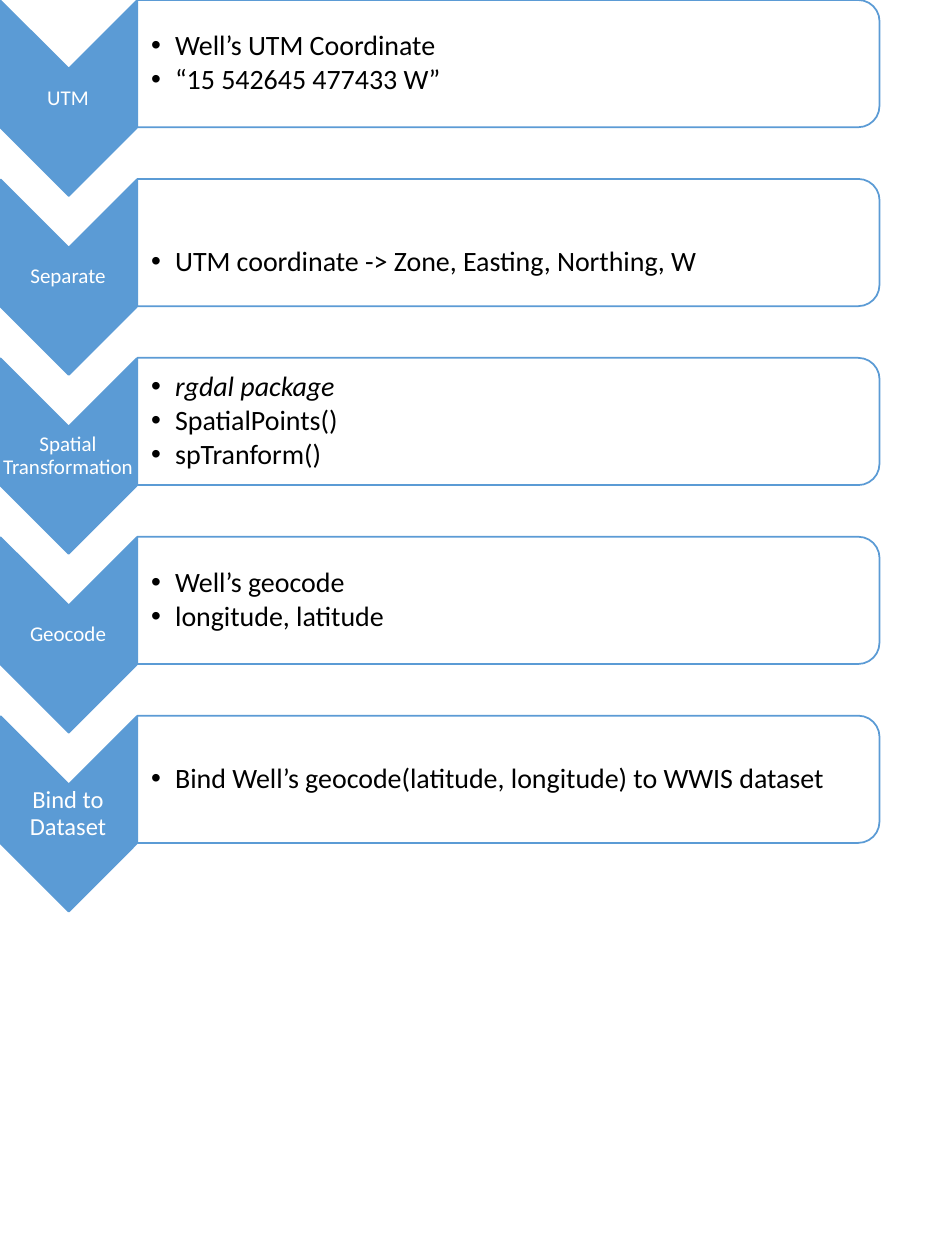
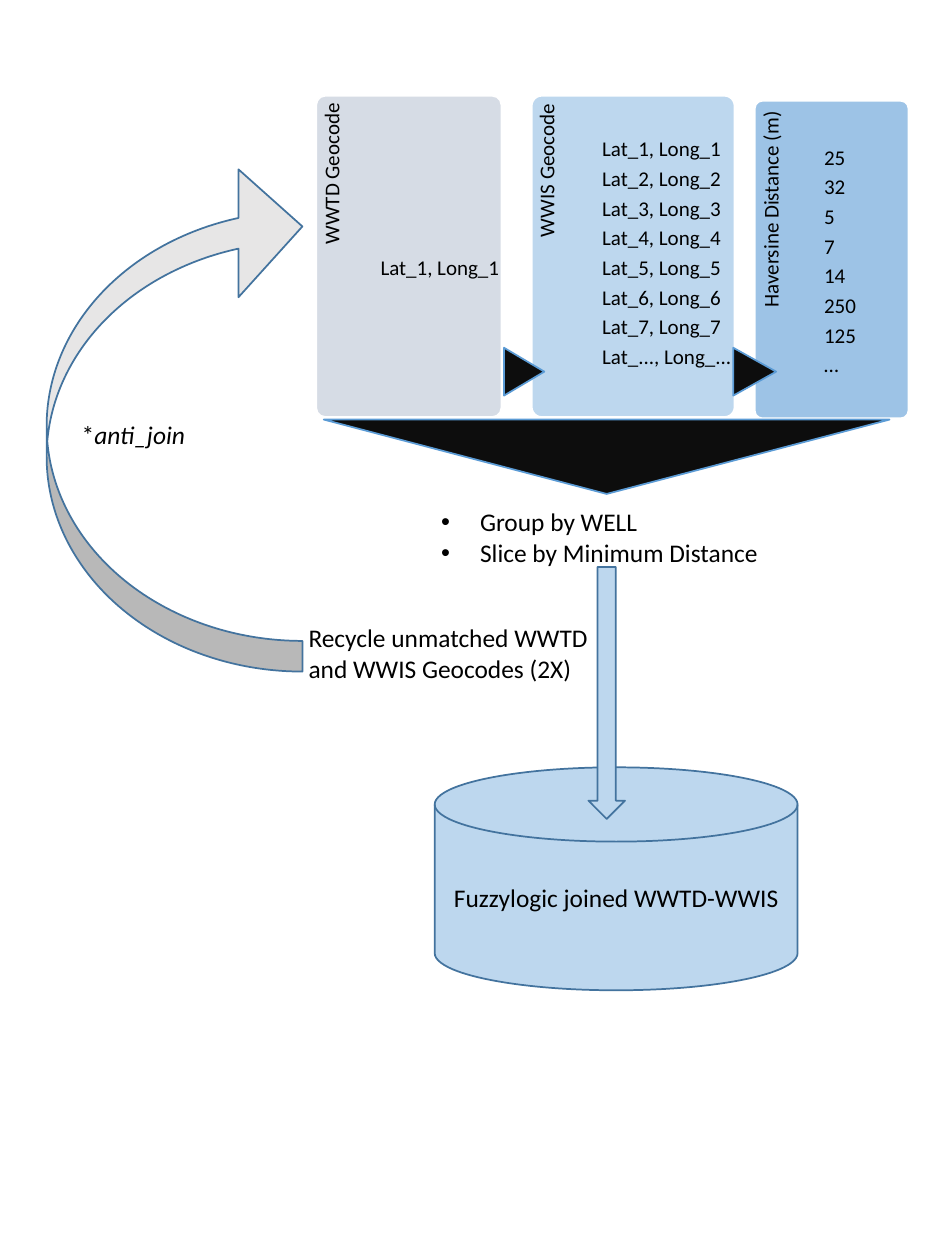
"""Two portrait pages: a geocoding process and a fuzzy join of well records."""
from dataclasses import dataclass
from typing import NamedTuple

from lxml import etree
from pptx import Presentation
from pptx.dml.color import RGBColor
from pptx.enum import shapes, text
from pptx.oxml import ns
from pptx.util import Inches, Pt

FONT = "Calibri"
BLACK, WHITE, INK = "000000", "FFFFFF", "0D0D0D"
BLUE, DARK_BLUE, PALE_BLUE = "5B9BD5", "43739E", "BDD7EE"
SHAPE, ALIGN, ANCHOR = shapes.MSO_SHAPE, text.PP_ALIGN, text.MSO_ANCHOR
TITLE_AND_BODY, BLANK = 1, 6


class Frame(NamedTuple):
    """Left, top, width and height in inches, before rotation."""
    left: float
    top: float
    width: float
    height: float

    def lengths(self) -> list:
        """Return the four values as lengths."""
        return [Inches(value) for value in self]


@dataclass(frozen=True)
class Style:
    """How the paragraphs of one text look; insets are left, top, right, bottom."""
    size: float
    color: str = BLACK
    align: ALIGN = ALIGN.LEFT
    anchor: ANCHOR = ANCHOR.TOP
    insets: tuple = (0.1, 0.05, 0.1, 0.05)
    line_spacing: float = 1.0
    space_after: float = 0
    bullet_indent: float = 0


@dataclass(frozen=True)
class Step:
    """One chevron of the process with its list."""
    label: str
    lines: tuple
    label_size: float = 12
    italic_lines: tuple = ()
    drop: float = 0


@dataclass(frozen=True)
class Column:
    """One card of the comparison, its sideways label and its values."""
    card: Frame
    fill: str
    label: str
    label_frame: Frame
    values: tuple
    values_frame: Frame
    insets: tuple
    anchor: ANCHOR = ANCHOR.MIDDLE


def rgb(value: str) -> RGBColor:
    """Turn a hex string into a colour."""
    return RGBColor.from_string(value)


def add_bullet(para, indent: float) -> None:
    """Give a paragraph a round bullet with a hanging indent."""
    props = para._p.get_or_add_pPr()
    props.set("marL", str(Inches(indent)))
    props.set("indent", str(-Inches(indent)))
    etree.SubElement(props, ns.qn("a:buFont")).set("typeface", "Arial")
    etree.SubElement(props, ns.qn("a:buChar")).set("char", "•")


def write(box, lines: tuple, style: Style, italic_lines: tuple = ()) -> None:
    """Write one paragraph per line into a shape, box or placeholder."""
    frame = box.text_frame
    frame.word_wrap = True
    frame.auto_size = text.MSO_AUTO_SIZE.NONE
    frame.vertical_anchor = style.anchor
    (frame.margin_left, frame.margin_top,
     frame.margin_right, frame.margin_bottom) = map(Inches, style.insets)
    for index, line in enumerate(lines):
        para = frame.add_paragraph() if index else frame.paragraphs[0]
        para.add_run().text = line
        para.alignment = style.align
        para.line_spacing = style.line_spacing
        para.space_before, para.space_after = Pt(0), Pt(style.space_after)
        if style.bullet_indent:
            add_bullet(para, style.bullet_indent)
        para.font.name, para.font.size = FONT, Pt(style.size)
        para.font.color.rgb = rgb(style.color)
        if line in italic_lines:
            para.font.italic = True


def add_text(page, frame: Frame, lines: tuple, style: Style,
             rotation: float = 0, italic_lines: tuple = ()):
    """Add a text box."""
    box = page.shapes.add_textbox(*frame.lengths())
    box.rotation = rotation
    write(box, lines, style, italic_lines)
    return box


def add_shape(page, kind: SHAPE, frame: Frame, fill: str, line: str,
              rotation: float = 0, adjustments: tuple = ()):
    """Add a flat preset shape with a one-point outline."""
    shape = page.shapes.add_shape(kind, *frame.lengths())
    shape.rotation = rotation
    shape.shadow.inherit = False
    shape.fill.solid()
    shape.fill.fore_color.rgb = rgb(fill)
    shape.line.color.rgb = rgb(line)
    shape.line.width = Pt(1)
    for index, value in enumerate(adjustments):
        shape.adjustments[index] = value
    return shape


STEP_PITCH = 1.42
STEPS = (
    Step("UTM", ("Well’s UTM Coordinate", "“15 542645 477433 W”")),
    Step("Separate", ("UTM coordinate -> Zone, Easting, Northing, W",), drop=0.32),
    Step("Spatial Transformation",
         ("rgdal package", "SpatialPoints()", "spTranform()"),
         italic_lines=("rgdal package",)),
    Step("Geocode", ("Well’s geocode", "longitude, latitude")),
    Step("Bind to Dataset",
         ("Bind Well’s geocode(latitude, longitude) to WWIS dataset",), label_size=14),
)


def add_step(page, step: Step, top: float) -> None:
    """Draw a downward chevron and the panel with its list."""
    add_shape(page, SHAPE.CHEVRON, Frame(-0.23, top + 0.24, 1.55, 1.08),
              BLUE, BLUE, rotation=90)
    add_text(page, Frame(0, top + 0.55, 1.08, 0.46), (step.label,),
             Style(step.label_size, WHITE, ALIGN.CENTER, ANCHOR.MIDDLE,
                   (0.01,) * 4, 0.9))
    add_shape(page, SHAPE.ROUND_2_SAME_RECTANGLE,
              Frame(3.53, top - 2.44, 1.01, 5.89), WHITE, BLUE, rotation=90)
    add_text(page, Frame(1.08, top + 0.05, 5.84, 0.91), step.lines,
             Style(16, anchor=ANCHOR.MIDDLE,
                   insets=(0.12, 0.01 + step.drop, 0.01, 0.01),
                   line_spacing=0.9, space_after=2.1, bullet_indent=0.19),
             italic_lines=step.italic_lines)


COLUMNS = (
    Column(Frame(2.51, 0.76, 1.47, 2.55), "D6DCE5",
           "WWTD Geocode", Frame(1.61, 1.66, 2.09, 0.29),
           ("Lat_1, Long_1",), Frame(2.98, 0.76, 1.09, 2.55),
           (0.04, 1.28, 0, 0), ANCHOR.TOP),
    Column(Frame(4.22, 0.76, 1.61, 2.55), PALE_BLUE,
           "WWIS Geocode", Frame(3.33, 1.65, 2.09, 0.32),
           tuple(f"Lat_{n}, Long_{n}" for n in (*range(1, 8), "...")),
           Frame(4.7, 0.76, 1.2, 2.55), (0.08, 0, 0, 0.04)),
    Column(Frame(5.99, 0.8, 1.22, 2.52), "9DC3E6",
           "Haversine Distance (m)", Frame(5.08, 1.74, 2.07, 0.24),
           ("25", "32", "5", "7", "14", "250", "125", "…"),
           Frame(6.42, 0.8, 0.91, 2.52), (0.12, 0.04, 0, 0)),
)
# Frame and rotation of each black triangle
POINTERS = (
    (Frame(3.97, 2.79, 0.38, 0.32), 90),
    (Frame(5.8, 2.78, 0.38, 0.34), 90),
    (Frame(2.57, 3.33, 4.49, 0.59), 180),
)


def add_column(page, column: Column) -> None:
    """Draw a card, its sideways label and its values."""
    add_shape(page, SHAPE.ROUNDED_RECTANGLE, column.card, column.fill, WHITE,
              adjustments=(0.05,))
    add_text(page, column.label_frame, (column.label,),
             Style(12, align=ALIGN.RIGHT, insets=(0, 0.04, 0.06, 0),
                   line_spacing=0.9), rotation=270)
    add_text(page, column.values_frame, column.values,
             Style(12, anchor=column.anchor, insets=column.insets,
                   line_spacing=0.9, space_after=4))


def build_process_page(deck) -> None:
    """Build the page of five geocoding steps."""
    page = deck.slides.add_slide(deck.slide_layouts[BLANK])
    for index, step in enumerate(STEPS):
        add_step(page, step, index * STEP_PITCH)


def build_join_page(deck) -> None:
    """Build the page of the distance comparison and the joined store."""
    page = deck.slides.add_slide(deck.slide_layouts[TITLE_AND_BODY])
    title = page.shapes.title
    title.element.getparent().remove(title.element)

    rules = page.placeholders[1]
    rules.left, rules.top, rules.width, rules.height = Frame(
        3.4, 3.97, 3.18, 0.83).lengths()
    write(rules, ("Group by WELL", "Slice by Minimum Distance"),
          Style(14.5, bullet_indent=0.31))

    for column in COLUMNS:
        add_column(page, column)
    for frame, rotation in POINTERS:
        add_shape(page, SHAPE.FLOWCHART_EXTRACT, frame, INK, BLUE, rotation)

    note = Style(14.5)
    add_text(page, Frame(2.35, 4.89, 2.45, 0.84),
             ("Recycle unmatched WWTD and WWIS Geocodes (2X)",), note)
    store = add_shape(page, SHAPE.FLOWCHART_MAGNETIC_DISK,
                      Frame(3.45, 6.09, 2.88, 1.77), PALE_BLUE, DARK_BLUE)
    write(store, ("Fuzzylogic joined WWTD-WWIS",),
          Style(14.5, align=ALIGN.CENTER, anchor=ANCHOR.MIDDLE))
    add_shape(page, SHAPE.CURVED_LEFT_ARROW, Frame(0.37, 1.29, 2.03, 4.04),
              "E7E6E6", DARK_BLUE, 180, (0.12, 0.5, 0.25))
    join = add_text(page, Frame(0.55, 3.28, 1.67, 0.34), ("*",), note)
    span = join.text_frame.paragraphs[0].add_run()
    span.text, span.font.italic = "anti_join", True
    add_shape(page, SHAPE.DOWN_ARROW, Frame(4.67, 4.5, 0.29, 2),
              PALE_BLUE, DARK_BLUE)


def main() -> None:
    """Build and save the deck."""
    deck = Presentation()
    deck.slide_width, deck.slide_height = Inches(7.5), Inches(10)
    build_process_page(deck)
    build_join_page(deck)
    deck.save("out.pptx")


main()
